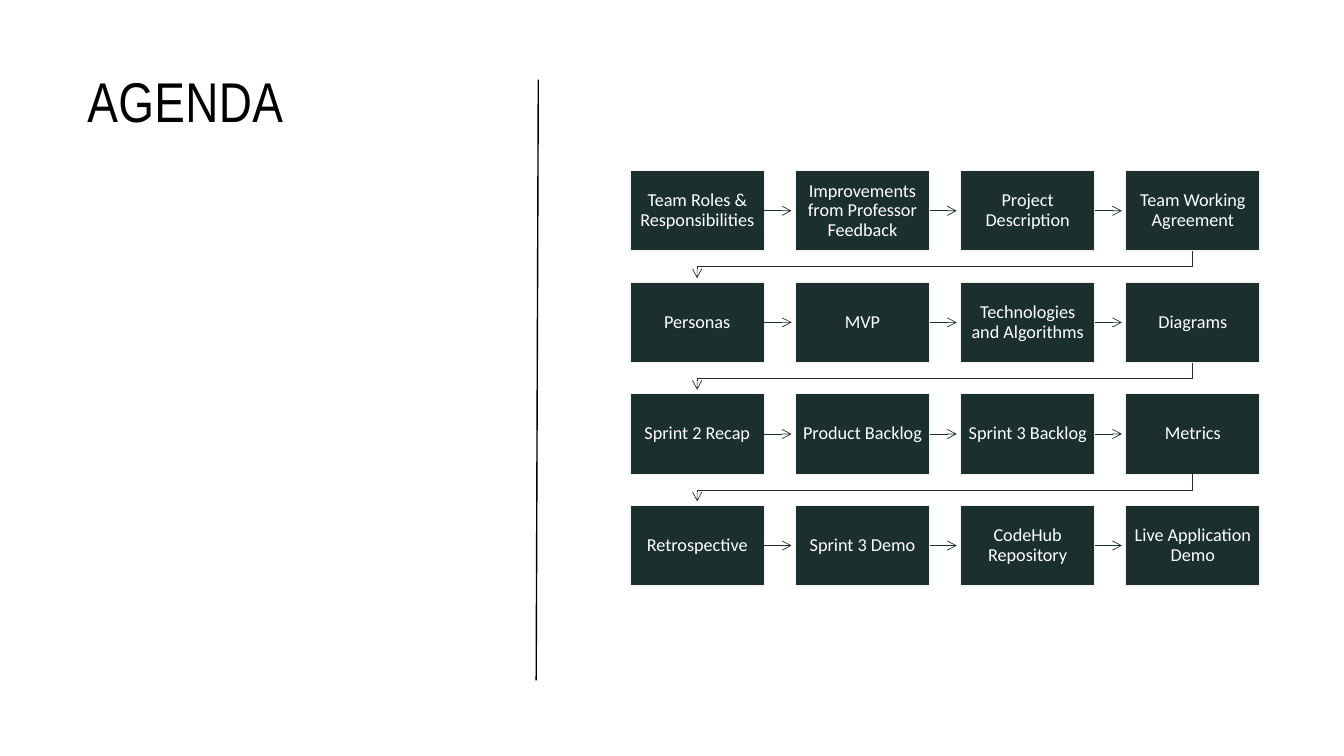
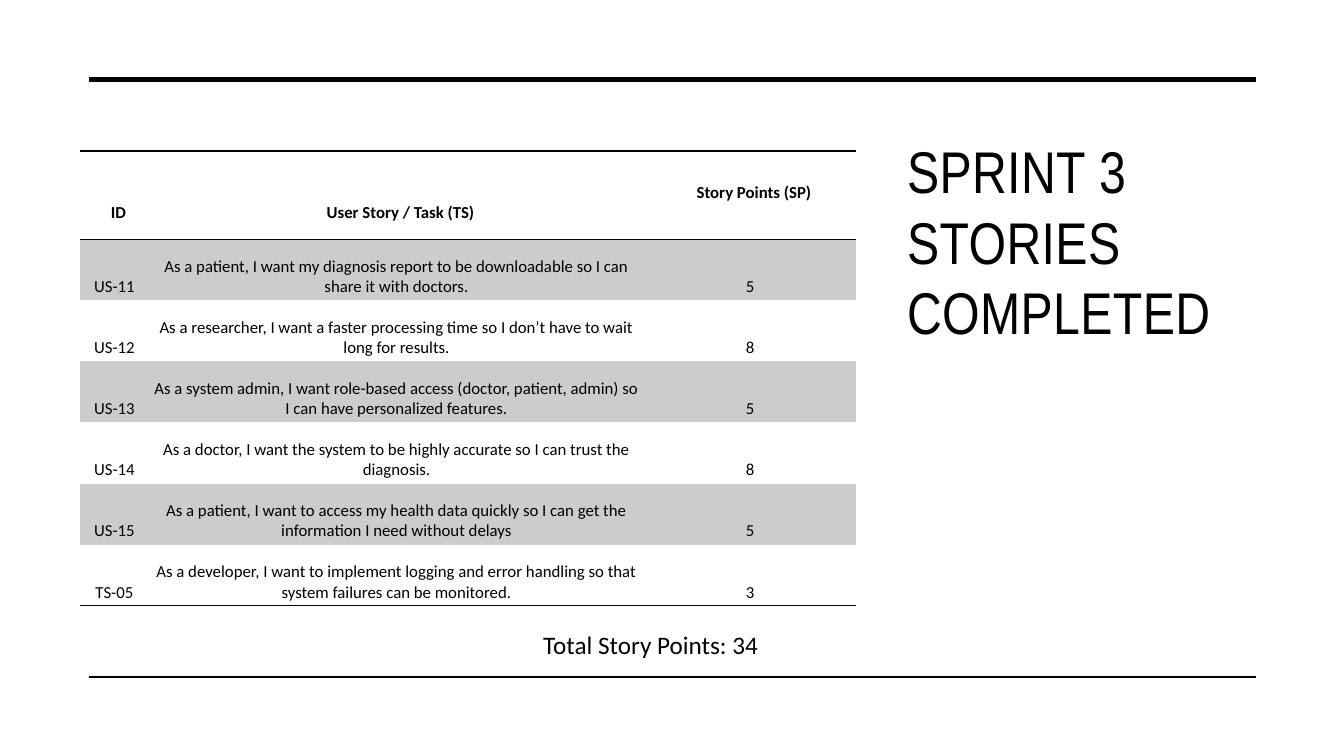
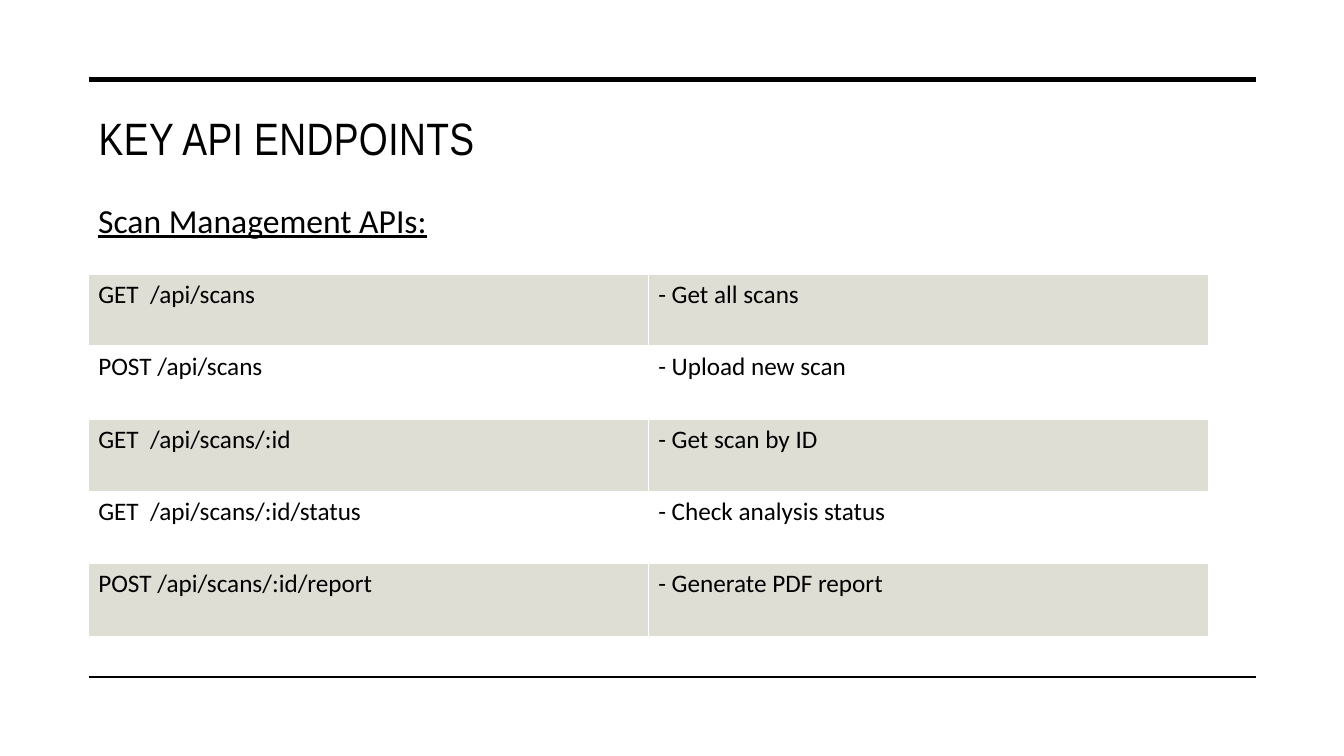
"""Build a sprint review deck: agenda flow, completed stories and API endpoints."""
from dataclasses import dataclass
from typing import Any, NamedTuple, Optional

from lxml import etree
from pptx import Presentation
from pptx.dml.color import RGBColor
from pptx.enum.shapes import MSO_CONNECTOR, MSO_SHAPE
from pptx.enum.text import MSO_ANCHOR, PP_ALIGN
from pptx.oxml.ns import qn
from pptx.util import Pt

STRAIGHT = MSO_CONNECTOR.STRAIGHT
RECTANGLE = MSO_SHAPE.RECTANGLE
TOP, MIDDLE, BOTTOM = MSO_ANCHOR.TOP, MSO_ANCHOR.MIDDLE, MSO_ANCHOR.BOTTOM
LEFT, CENTER = PP_ALIGN.LEFT, PP_ALIGN.CENTER
RIGHT_SIDE = 3


@dataclass(frozen=True)
class Theme:
    black: str = "000000"
    white: str = "FFFFFF"
    step: str = "1B2F2E"
    step_edge: str = "F3F3F0"
    story_band: str = "CCCCCC"
    endpoint_band: str = "DEDED5"
    title_font: str = "Arial Narrow"
    body_font: str = "Calibri"
    agenda_title: float = 40
    stories_title: float = 42
    endpoints_title: float = 32.4
    subtitle: float = 24
    body: float = 18
    step_size: float = 13
    story_size: float = 12
    title_tracking: float = 0.3


THEME = Theme()


class Area(NamedTuple):
    left: float
    top: float
    width: float
    height: float

    def lengths(self) -> list[Pt]:
        return [Pt(value) for value in self]


class Point(NamedTuple):
    x: float
    y: float


class Edge(NamedTuple):
    color: str
    width: float


class Insets(NamedTuple):
    left: float
    top: float
    right: float
    bottom: float


@dataclass(frozen=True)
class TextStyle:
    size: float
    color: str = THEME.black
    font: str = THEME.body_font
    bold: bool = False
    underline: bool = False
    tracking: float = 0
    align: Any = LEFT
    line_spacing: Optional[float] = None


@dataclass(frozen=True)
class CellStyle:
    text: TextStyle
    anchor: Any = TOP
    insets: Insets = Insets(7.2, 3.6, 7.2, 3.6)
    fill: Optional[str] = None
    sides: Optional[Edge] = None
    top: Optional[Edge] = None
    bottom: Optional[Edge] = None


STEPS = [
    ["Team Roles & Responsibilities", "Improvements from Professor Feedback",
     "Project Description", "Team Working Agreement"],
    ["Personas", "MVP", "Technologies and Algorithms", "Diagrams"],
    ["Sprint 2 Recap", "Product Backlog", "Sprint 3 Backlog", "Metrics"],
    ["Retrospective", "Sprint 3 Demo", "CodeHub Repository", "Live Application Demo"],
]
STORIES = [
    ["ID", "User Story / Task (TS)", "Story Points (SP)"],
    ["US-11", "As a patient, I want my diagnosis report to be downloadable so I can "
     "share it with doctors.", "5"],
    ["US-12", "As a researcher, I want a faster processing time so I don’t have to wait "
     "long for results.", "8"],
    ["US-13", "As a system admin, I want role-based access (doctor, patient, admin) so "
     "I can have personalized features.", "5"],
    ["US-14", "As a doctor, I want the system to be highly accurate so I can trust the "
     "diagnosis.", "8"],
    ["US-15", "As a patient, I want to access my health data quickly so I can get the "
     "information I need without delays", "5"],
    ["TS-05", "As a developer, I want to implement logging and error handling so that "
     "system failures can be monitored.", "3"],
]
ENDPOINTS = [
    ["GET  /api/scans", "- Get all scans"],
    ["POST /api/scans", "- Upload new scan"],
    ["GET  /api/scans/:id", "- Get scan by ID"],
    ["GET  /api/scans/:id/status", "- Check analysis status"],
    ["POST /api/scans/:id/report", "- Generate PDF report"],
]


def rgb(color: str) -> RGBColor:
    return RGBColor.from_string(color)


def write(frame: Any, text: str, style: TextStyle) -> None:
    frame.text = text
    for paragraph in frame.paragraphs:
        paragraph.alignment = style.align
        if style.line_spacing:
            paragraph.line_spacing = style.line_spacing
        for span in paragraph.runs:
            font = span.font
            font.name, font.size = style.font, Pt(style.size)
            font.bold, font.underline = style.bold, style.underline
            font.color.rgb = rgb(style.color)
            if style.tracking:
                font._element.set("spc", str(round(style.tracking * 100)))


def add_text(page: Any, area: Area, text: str, style: TextStyle) -> None:
    box = page.shapes.add_textbox(*area.lengths())
    box.text_frame.word_wrap = True
    write(box.text_frame, text, style)


def add_title(page: Any, area: Area, text: str, size: float) -> None:
    add_text(page, area, text, TextStyle(
        size, font=THEME.title_font, tracking=THEME.title_tracking))


def style_line(shape: Any, edge: Edge, arrow: bool = False) -> None:
    shape.line.color.rgb = rgb(edge.color)
    shape.line.width = Pt(edge.width)
    if arrow:
        line = shape.line._get_or_add_ln()
        etree.SubElement(line, qn("a:tailEnd")).set("type", "arrow")


def add_line(page: Any, start: Point, end: Point, edge: Edge, arrow: bool = False) -> Any:
    line = page.shapes.add_connector(
        STRAIGHT, Pt(start.x), Pt(start.y), Pt(end.x), Pt(end.y))
    style_line(line, edge, arrow)
    etree.SubElement(line._element.spPr, qn("a:effectLst"))
    return line


def add_rules(page: Any) -> None:
    for height, width in ((56.9, 3.5), (483.5, 1)):
        add_line(page, Point(63.4, height), Point(897.1, height), Edge(THEME.black, width))


def add_step(page: Any, area: Area, text: str) -> Any:
    box = page.shapes.add_shape(RECTANGLE, *area.lengths())
    box.shadow.inherit = False
    box.fill.solid()
    box.fill.fore_color.rgb = rgb(THEME.step)
    style_line(box, Edge(THEME.step_edge, 1))
    frame = box.text_frame
    frame.word_wrap, frame.vertical_anchor = True, MIDDLE
    frame.margin_left = frame.margin_top = frame.margin_right = frame.margin_bottom = Pt(5)
    write(frame, text, TextStyle(
        THEME.step_size, THEME.white, align=CENTER, line_spacing=0.9))
    return box


def add_return_arrow(page: Any, corners: list[Point], edge: Edge) -> None:
    start, *others = [(Pt(corner.x), Pt(corner.y)) for corner in corners]
    builder = page.shapes.build_freeform(*start)
    builder.add_line_segments(others, close=False)
    arrow = builder.convert_to_shape()
    arrow.shadow.inherit = False
    arrow.fill.background()
    style_line(arrow, edge, arrow=True)


def add_flow(page: Any, first: Area, step_x: float, step_y: float) -> None:
    edge = Edge(THEME.step, 0.5)
    first_center = first.left + first.width / 2
    for row, labels in enumerate(STEPS):
        top = first.top + row * step_y
        middle, bottom = top + first.height / 2, top + first.height
        last = len(labels) - 1
        for column, label in enumerate(labels):
            left = first.left + column * step_x
            right = left + first.width
            box = add_step(page, Area(left, top, first.width, first.height), label)
            if column < last:
                arrow = add_line(
                    page, Point(right, middle), Point(right + 19.4, middle), edge, True)
                arrow.begin_connect(box, RIGHT_SIDE)
        if row < len(STEPS) - 1:
            last_center = first_center + last * step_x
            turn = bottom + 11.2
            add_return_arrow(page, [
                Point(last_center, bottom), Point(last_center, turn),
                Point(first_center, turn), Point(first_center, bottom + 19.4)], edge)


def set_edge(cell: Any, tag: str, edge: Optional[Edge]) -> None:
    line = etree.SubElement(cell._tc.get_or_add_tcPr(), qn(tag))
    if edge is None:
        line.set("w", "0")
        etree.SubElement(line, qn("a:noFill"))
        return
    line.set("w", str(int(Pt(edge.width))))
    fill = etree.SubElement(line, qn("a:solidFill"))
    etree.SubElement(fill, qn("a:srgbClr")).set("val", edge.color)


def fill_cell(cell: Any, text: str, style: CellStyle) -> None:
    write(cell.text_frame, text, style.text)
    cell.vertical_anchor = style.anchor
    cell.margin_left, cell.margin_top = Pt(style.insets.left), Pt(style.insets.top)
    cell.margin_right, cell.margin_bottom = Pt(style.insets.right), Pt(style.insets.bottom)
    for tag, edge in (("a:lnL", style.sides), ("a:lnR", style.sides),
                      ("a:lnT", style.top), ("a:lnB", style.bottom)):
        set_edge(cell, tag, edge)
    if style.fill:
        cell.fill.solid()
        cell.fill.fore_color.rgb = rgb(style.fill)
    else:
        cell.fill.background()


def add_grid(page: Any, corner: Point, widths: list[float], heights: list[float],
             rows: list[list[str]], styles: list[list[CellStyle]]) -> None:
    area = Area(corner.x, corner.y, sum(widths), sum(heights))
    table = page.shapes.add_table(len(rows), len(widths), *area.lengths()).table
    table.first_row = table.horz_banding = False
    for column, width in zip(table.columns, widths):
        column.width = Pt(width)
    for row, height, texts, row_styles in zip(table.rows, heights, rows, styles):
        row.height = Pt(height)
        for cell, text, style in zip(row.cells, texts, row_styles):
            fill_cell(cell, text, style)


def build_agenda(page: Any) -> None:
    add_line(page, Point(383, 486), Point(384.5, 56.9), Edge(THEME.black, 1))
    add_title(page, Area(55.4, 43.9, 285, 359), "AGENDA", THEME.agenda_title)
    add_flow(page, Area(450, 121.8, 96, 57.6), 118, 79.7)


def story_style(row: int, column: int) -> CellStyle:
    rule = Edge(THEME.black, 1)
    if row == 0:
        lift = 26 if column == 2 else 11.5
        return CellStyle(TextStyle(THEME.story_size, bold=True, align=CENTER), BOTTOM,
                         Insets(5.8, 1.4, 0, lift), top=rule, bottom=rule)
    return CellStyle(TextStyle(THEME.story_size, align=CENTER), BOTTOM,
                     Insets(3.6, 2.2, 3.6, 2.2),
                     fill=THEME.story_band if row % 2 else None,
                     top=rule if row == 1 else None,
                     bottom=rule if row == len(STORIES) - 1 else None)


def build_stories(page: Any) -> None:
    add_title(page, Area(640.8, 92.9, 262, 271), "SPRINT 3 STORIES COMPLETED",
              THEME.stories_title)
    add_rules(page)
    widths = [49.5, 353.5, 151.5]
    styles = [[story_style(row, column) for column in range(len(widths))]
              for row in range(len(STORIES))]
    heights = [63.2] + [43.6] * (len(STORIES) - 1)
    add_grid(page, Point(57, 107.8), widths, heights, STORIES, styles)
    add_text(page, Area(380.9, 445.7, 198, 29), "Total Story Points: 34",
             TextStyle(THEME.body))


def endpoint_style(row: int) -> CellStyle:
    thin, thick = Edge(THEME.white, 1), Edge(THEME.white, 3)
    return CellStyle(TextStyle(THEME.body),
                     fill=THEME.white if row % 2 else THEME.endpoint_band,
                     sides=thin, top=thick if row == 1 else thin,
                     bottom=thick if row == 0 else thin)


def build_endpoints(page: Any) -> None:
    add_rules(page)
    add_title(page, Area(63.4, 74.9, 821.5, 44), "KEY API ENDPOINTS",
              THEME.endpoints_title)
    widths = [400, 400]
    styles = [[endpoint_style(row)] * len(widths) for row in range(len(ENDPOINTS))]
    add_grid(page, Point(63, 196), widths, [51.7] * len(ENDPOINTS), ENDPOINTS, styles)
    add_text(page, Area(63, 139, 405, 36), "Scan Management APIs:",
             TextStyle(THEME.subtitle, underline=True))


def main() -> None:
    deck = Presentation()
    deck.slide_width, deck.slide_height = Pt(960), Pt(540)
    blank = deck.slide_layouts[6]
    for build in (build_agenda, build_stories, build_endpoints):
        build(deck.slides.add_slide(blank))
    deck.save("out.pptx")


if __name__ == "__main__":
    main()
